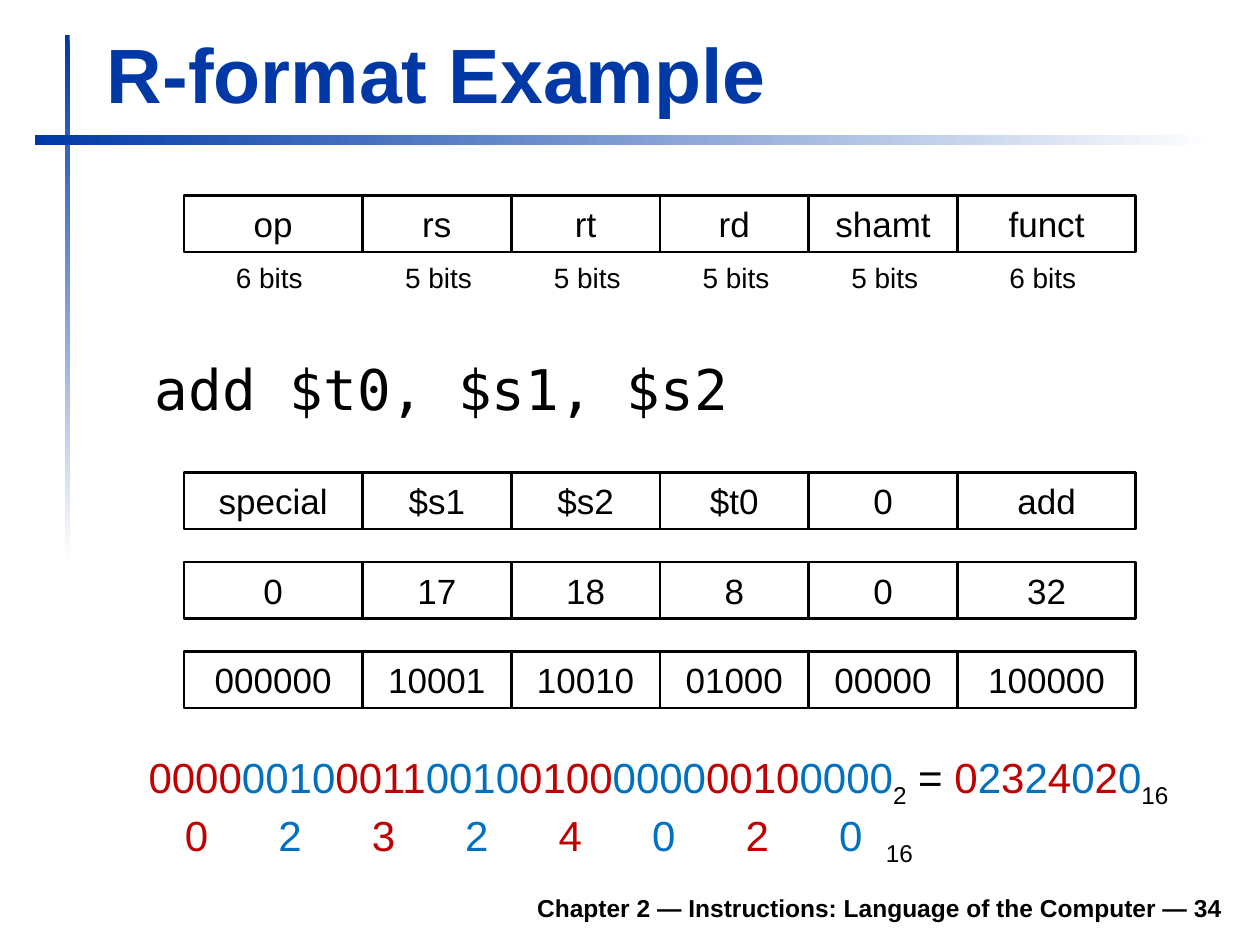
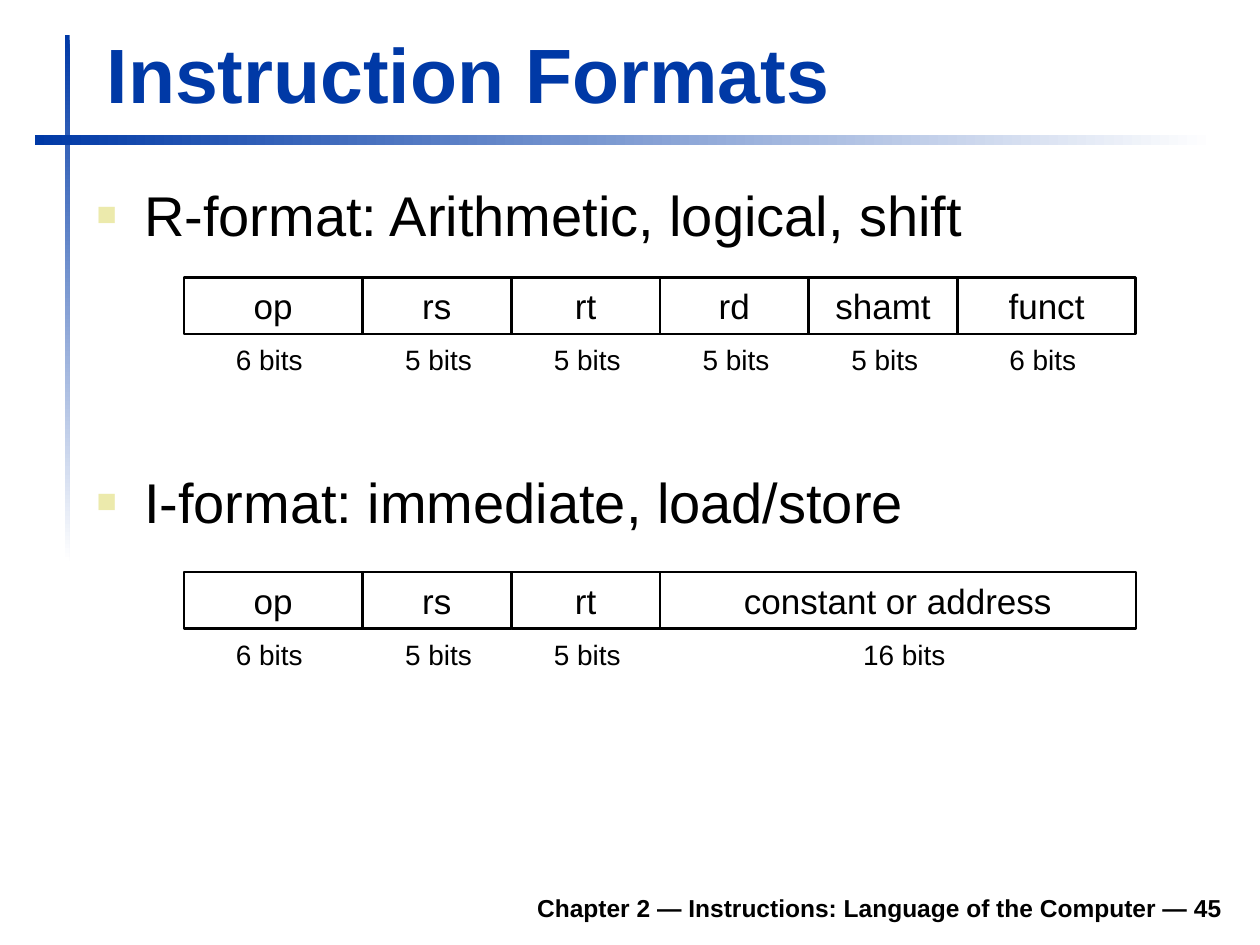
from typing import NamedTuple

import lxml.etree
import pptx
import pptx.dml.color
import pptx.enum.shapes
import pptx.enum.text
import pptx.oxml.ns
import pptx.util

Pt = pptx.util.Pt
qn = pptx.oxml.ns.qn
ALIGN = pptx.enum.text.PP_ALIGN
ANCHOR = pptx.enum.text.MSO_ANCHOR

COLORS = {
    "title": "0039A6",
    "paper": "FFFFFF",
    "ink": "000000",
    "bullet": "ECEAAC",
    "odd": "C00000",
    "even": "0070C0",
}
SANS = "Arial"
MONO = "DejaVu Sans Mono"

FORMAT_LEFT = 105.1
BIT_WIDTH = 17
FIELD_HEIGHT = 32.4
LABEL_DROP = 33.8
LABEL_SHIFT = {5: 1, 6: -2.2, 16: 3.6}
NIBBLE_WIDTH = 53.4
NIBBLES = ["0000", "0010", "0011", "0010", "0100", "0000", "0010", "0000"]


class Box(NamedTuple):
    left: float
    top: float
    width: float
    height: float


class Style(NamedTuple):
    size: float
    font: str = SANS
    color: str = "ink"
    bold: bool = False
    align: ALIGN = ALIGN.LEFT
    anchor: ANCHOR = ANCHOR.TOP


class Band(NamedTuple):
    box: Box
    angle: float


class Field(NamedTuple):
    name: str
    bits: int


class Piece(NamedTuple):
    text: str
    color: str = "ink"
    subscript: bool = False


BANDS = [
    Band(Box(36.9, 20.3, 2.9, 300.2), 270),
    Band(Box(19.8, 77.3, 674.6, 5.8), 0),
]
TITLE = Style(44, color="title", bold=True, anchor=ANCHOR.BOTTOM)
FOOTER = Style(14, bold=True, align=ALIGN.RIGHT, anchor=ANCHOR.BOTTOM)
CODE = Style(32, MONO)
TOPIC = Style(32)
FIELD = Style(20, align=ALIGN.CENTER, anchor=ANCHOR.MIDDLE)
BITS = Style(16, align=ALIGN.CENTER)
NUMBER = Style(24)

R_FORMAT = [
    Field("op", 6), Field("rs", 5), Field("rt", 5),
    Field("rd", 5), Field("shamt", 5), Field("funct", 6),
]
I_FORMAT = R_FORMAT[:3] + [Field("constant or address", 16)]
ENCODINGS = [
    ["special", "$s1", "$s2", "$t0", "0", "add"],
    ["0", "17", "18", "8", "0", "32"],
    ["000000", "10001", "10010", "01000", "00000", "100000"],
]


def rgb(name: str) -> pptx.dml.color.RGBColor:
    return pptx.dml.color.RGBColor.from_string(COLORS[name])


def points(box: Box) -> list:
    return [Pt(length) for length in box]


def style_paragraph(paragraph, style: Style) -> None:
    paragraph.alignment = style.align
    font = paragraph.font
    font.name, font.size, font.bold = style.font, Pt(style.size), style.bold
    font.color.rgb = rgb(style.color)


def add_text(slide, box: Box, text: str, style: Style):
    frame = slide.shapes.add_textbox(*points(box)).text_frame
    frame.word_wrap = True
    frame.vertical_anchor = style.anchor
    paragraph = frame.paragraphs[0]
    paragraph.text = text
    style_paragraph(paragraph, style)
    return paragraph


def add_rectangle(slide, box: Box):
    rectangle = slide.shapes.add_shape(
        pptx.enum.shapes.MSO_SHAPE.RECTANGLE, *points(box))
    rectangle.shadow.inherit = False
    return rectangle


def add_band(slide, band: Band) -> None:
    rectangle = add_rectangle(slide, band.box)
    rectangle.line.fill.background()
    rectangle.fill.gradient()
    rectangle.fill.gradient_angle = band.angle
    stops = rectangle.fill.gradient_stops
    for stop, position, color in zip(stops, (0, 1), ("title", "paper")):
        stop.position = position
        stop.color.rgb = rgb(color)


def add_page(deck, title: str, number: int):
    slide = deck.slides.add_slide(deck.slide_layouts[6])
    for band in BANDS:
        add_band(slide, band)
    add_text(slide, Box(133.2, 502.6, 572.4, 28),
             f"Chapter 2 — Instructions: Language of the Computer — {number}",
             FOOTER)
    add_text(slide, Box(54, 11.5, 650, 59.8), title, TITLE)
    return slide


def add_fields(slide, top: float, fields: list[Field],
               labelled: bool = False) -> None:
    left = FORMAT_LEFT
    for field in fields:
        width = field.bits * BIT_WIDTH
        cell = add_rectangle(slide, Box(left, top, width, FIELD_HEIGHT))
        cell.fill.background()
        cell.line.color.rgb = rgb("ink")
        cell.line.width = Pt(1.5)
        cell.text_frame.vertical_anchor = FIELD.anchor
        paragraph = cell.text_frame.paragraphs[0]
        paragraph.text = field.name
        style_paragraph(paragraph, FIELD)
        if labelled:
            label_left = left + LABEL_SHIFT[field.bits]
            add_text(slide, Box(label_left, top + LABEL_DROP, width, 26.6),
                     f"{field.bits} bits", BITS)
        left += width


def add_topic(slide, top: float, text: str) -> None:
    paragraph = add_text(slide, Box(48.2, top, 651.6, 46), text, TOPIC)
    properties = paragraph._p.get_or_add_pPr()
    properties.set("marL", str(Pt(27)))
    properties.set("indent", str(-Pt(27)))
    color = lxml.etree.Element(qn("a:buClr"))
    lxml.etree.SubElement(color, qn("a:srgbClr"), val=COLORS["bullet"])
    bullet = [
        color,
        lxml.etree.Element(qn("a:buSzPct"), val="60000"),
        lxml.etree.Element(qn("a:buFont"), typeface=SANS),
        lxml.etree.Element(qn("a:buChar"), char="■"),
    ]
    for position, element in enumerate(bullet):
        properties.insert(position, element)


def add_pieces(slide, box: Box, pieces: list[Piece],
               tabs: list[float] = ()) -> None:
    paragraph = add_text(slide, box, "", NUMBER)
    if tabs:
        stops = lxml.etree.Element(qn("a:tabLst"))
        for tab in tabs:
            lxml.etree.SubElement(stops, qn("a:tab"),
                                  pos=str(Pt(tab)), algn="l")
        paragraph._p.get_or_add_pPr().insert(0, stops)
    for piece in pieces:
        run = paragraph.add_run()
        run.text = piece.text
        run.font.color.rgb = rgb(piece.color)
        if piece.subscript:
            run._r.get_or_add_rPr().set("baseline", "-25000")


def alternate(texts: list[str]) -> list[Piece]:
    return [Piece(text, ("odd", "even")[index % 2])
            for index, text in enumerate(texts)]


def build_example(deck) -> None:
    slide = add_page(deck, "R-format Example", 34)
    add_fields(slide, 111.6, R_FORMAT, labelled=True)
    add_text(slide, Box(81.4, 199, 620, 50), "add $t0, $s1, $s2", CODE)
    for row, values in enumerate(ENCODINGS):
        fields = [Field(value, field.bits)
                  for value, field in zip(values, R_FORMAT)]
        add_fields(slide, 270 + 51.1 * row, fields)

    digits = [format(int(nibble, 2), "X") for nibble in NIBBLES]
    base_16 = Piece("16", subscript=True)
    add_pieces(slide, Box(77.8, 425.9, 620, 40), [
        *alternate(NIBBLES), Piece("2", subscript=True), Piece(" = "),
        *alternate(digits), base_16,
    ])
    tabs = [NIBBLE_WIDTH * index for index in range(1, len(digits))]
    tabs.append(tabs[-1] + NIBBLE_WIDTH / 2)
    spaced = digits[:1] + [f"\t{digit}" for digit in digits[1:]]
    add_pieces(slide, Box(98.6, 459, 437, 40),
               [*alternate(spaced), base_16._replace(text="\t16")], tabs)


def build_formats(deck) -> None:
    slide = add_page(deck, "Instruction Formats", 45)
    add_topic(slide, 99.4, "R-format: Arithmetic, logical, shift")
    add_topic(slide, 263.4, "I-format: immediate, load/store")
    add_fields(slide, 158.4, R_FORMAT, labelled=True)
    add_fields(slide, 326.9, I_FORMAT, labelled=True)


def main() -> None:
    deck = pptx.Presentation()
    deck.slide_width, deck.slide_height = Pt(720), Pt(540)
    build_example(deck)
    build_formats(deck)
    deck.save("out.pptx")


if __name__ == "__main__":
    main()
